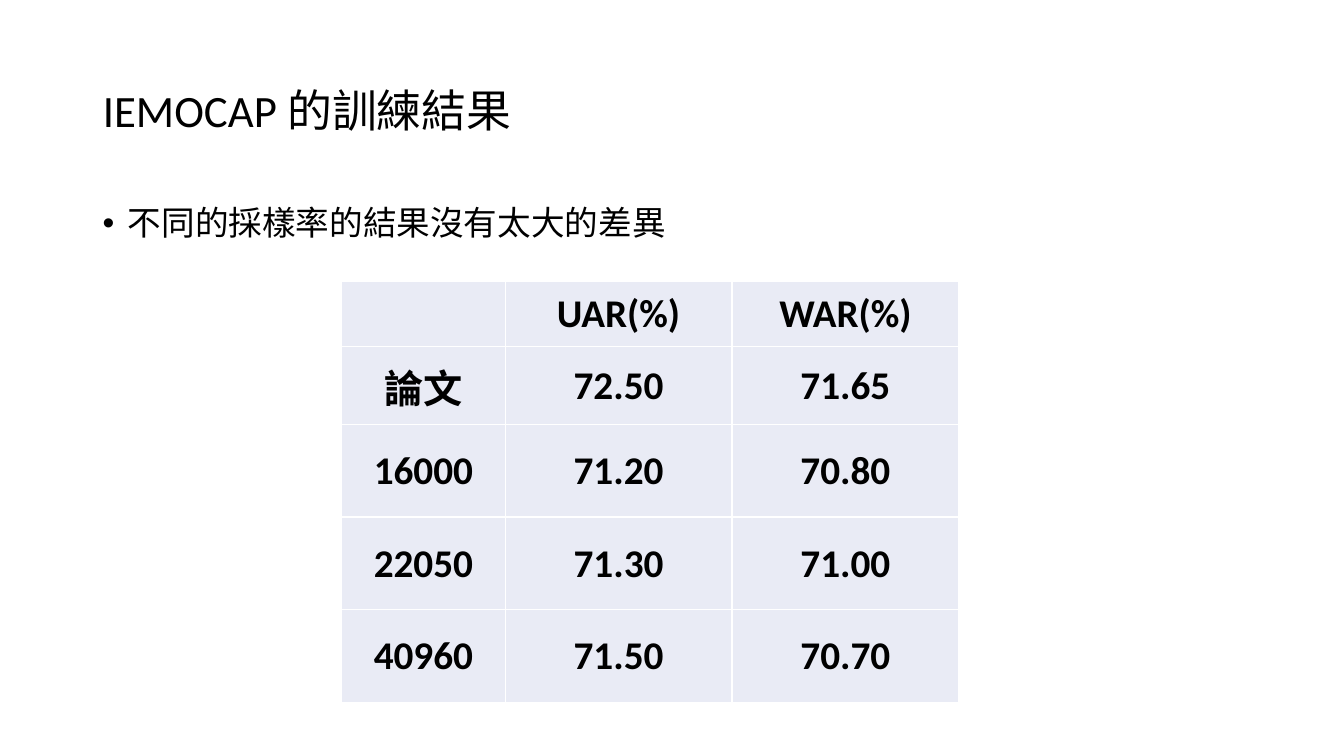
import pptx
import pptx.dml.color
import pptx.enum.text
import pptx.oxml
import pptx.oxml.ns
import pptx.util
from pptx.util import Inches

COLORS = {"text": "000000", "cell": "E9EBF5", "border": "FFFFFF"}
FONT = "Calibri"
RESULTS = [
    ["", "UAR(%)", "WAR(%)"],
    ["論文", "72.50", "71.65"],
    ["16000", "71.20", "70.80"],
    ["22050", "71.30", "71.00"],
    ["40960", "71.50", "70.70"],
]
COLUMN_WIDTHS = [1.62, 2.25, 2.25]
ROW_HEIGHTS = [0.65, 0.77, 0.92, 0.92, 0.92]


def rgb(name):
    return pptx.dml.color.RGBColor.from_string(COLORS[name])


def style_paragraph(paragraph, size, align, bold=False):
    paragraph.alignment = align
    font = paragraph.font
    font.name = FONT
    font.size = pptx.util.Pt(size)
    font.bold = bold
    font.color.rgb = rgb("text")


def add_title(slide, text):
    title = slide.shapes.title
    title.left, title.top = Inches(0.92), Inches(0.4)
    title.width, title.height = Inches(11.5), Inches(1.45)
    frame = title.text_frame
    frame.text = text
    frame.auto_size = pptx.enum.text.MSO_AUTO_SIZE.NONE
    frame.vertical_anchor = pptx.enum.text.MSO_ANCHOR.MIDDLE
    heading = frame.paragraphs[0]
    heading.line_spacing = 0.9
    style_paragraph(heading, 32, pptx.enum.text.PP_ALIGN.LEFT)


def add_finding(slide, text):
    box = slide.shapes.add_textbox(Inches(0.92), Inches(2), Inches(11.5), Inches(4.76))
    frame = box.text_frame
    frame.word_wrap = True
    frame.text = text
    finding = frame.paragraphs[0]
    finding.line_spacing = 0.9
    # Hanging bullet
    properties = finding._p.get_or_add_pPr()
    properties.set("marL", str(Inches(0.25)))
    properties.set("indent", str(Inches(-0.25)))
    namespace = pptx.oxml.ns.nsdecls("a")
    properties.append(pptx.oxml.parse_xml(f'<a:buFont {namespace} typeface="Arial"/>'))
    properties.append(pptx.oxml.parse_xml(f'<a:buChar {namespace} char="•"/>'))
    style_paragraph(finding, 24, pptx.enum.text.PP_ALIGN.LEFT)


def add_borders(cell):
    namespace = pptx.oxml.ns.nsdecls("a")
    for side in ("lnL", "lnR", "lnT", "lnB"):
        cell._tc.get_or_add_tcPr().append(pptx.oxml.parse_xml(
            f'<a:{side} {namespace} w="{pptx.util.Pt(1)}"><a:solidFill>'
            f'<a:srgbClr val="{COLORS["border"]}"/></a:solidFill></a:{side}>'))


def fill_cell(cell, text):
    add_borders(cell)
    cell.fill.solid()
    cell.fill.fore_color.rgb = rgb("cell")
    cell.vertical_anchor = pptx.enum.text.MSO_ANCHOR.MIDDLE
    cell.margin_left = cell.margin_right = cell.margin_top = Inches(0.01)
    cell.margin_bottom = 0
    cell.text = text
    style_paragraph(cell.text_frame.paragraphs[0], 28,
                    pptx.enum.text.PP_ALIGN.CENTER, bold=True)


def add_results(slide):
    table = slide.shapes.add_table(
        len(RESULTS), len(COLUMN_WIDTHS), Inches(3.39), Inches(2.79),
        Inches(sum(COLUMN_WIDTHS)), Inches(sum(ROW_HEIGHTS))).table
    table.first_row = table.horz_banding = False
    for column, width in zip(table.columns, COLUMN_WIDTHS):
        column.width = Inches(width)
    for row, height, values in zip(table.rows, ROW_HEIGHTS, RESULTS):
        row.height = Inches(height)
        for cell, value in zip(row.cells, values):
            fill_cell(cell, value)


def main():
    presentation = pptx.Presentation()
    presentation.slide_width = Inches(13.33)
    presentation.slide_height = Inches(7.5)
    title_only = presentation.slide_layouts[5]
    slide = presentation.slides.add_slide(title_only)

    add_title(slide, "IEMOCAP 的訓練結果")
    add_finding(slide, "不同的採樣率的結果沒有太大的差異")
    add_results(slide)

    presentation.save("out.pptx")


if __name__ == "__main__":
    main()
